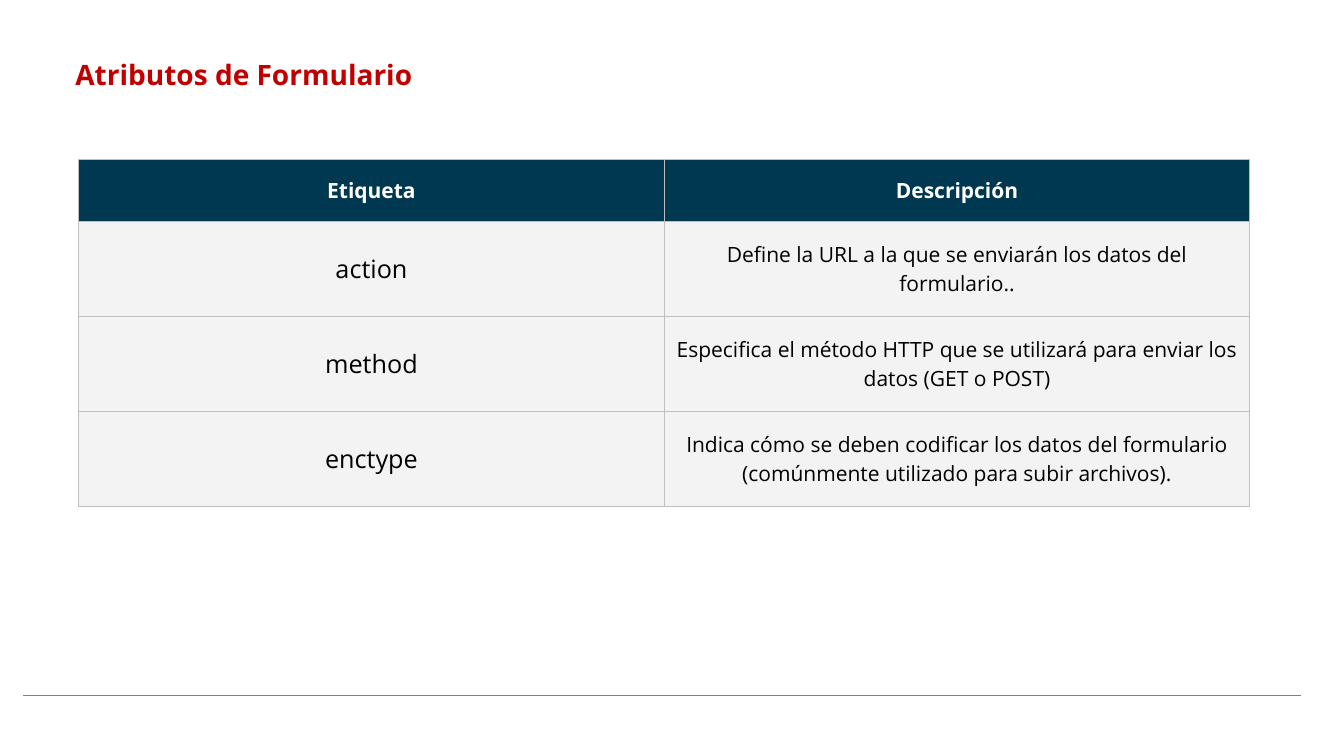
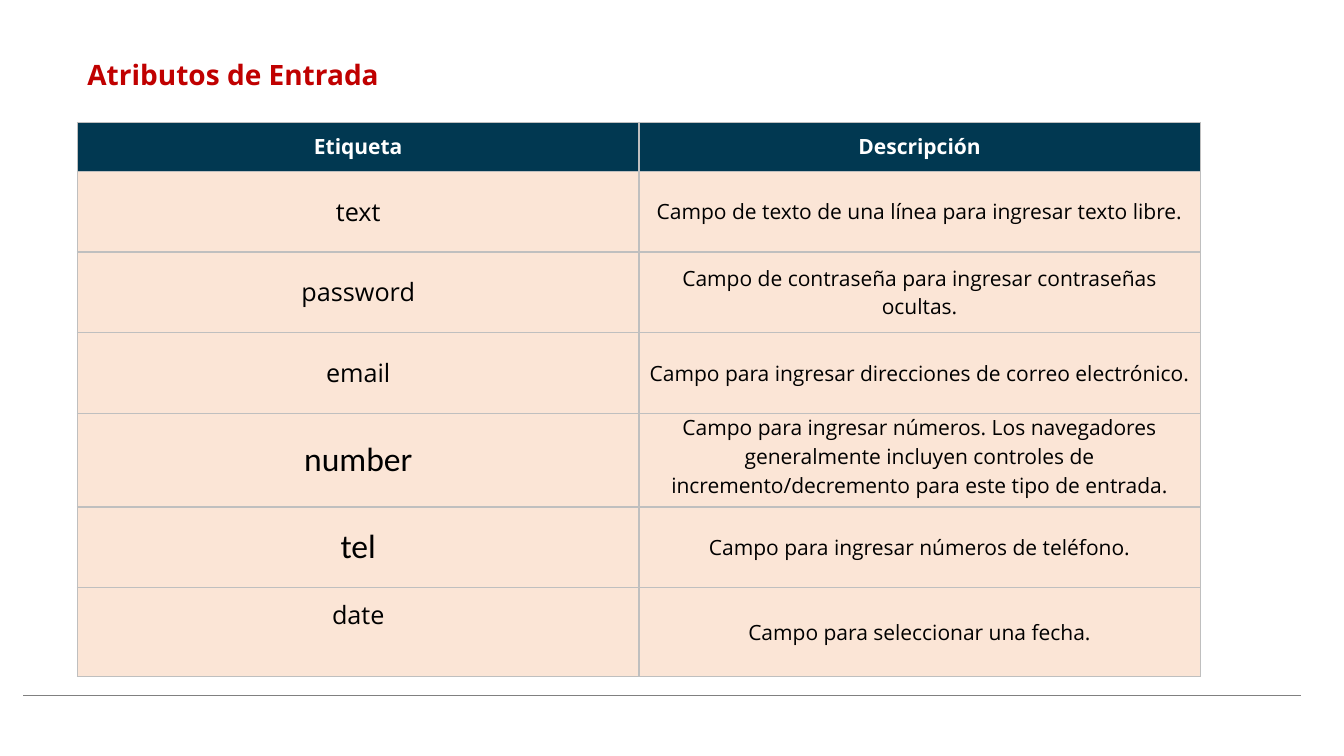
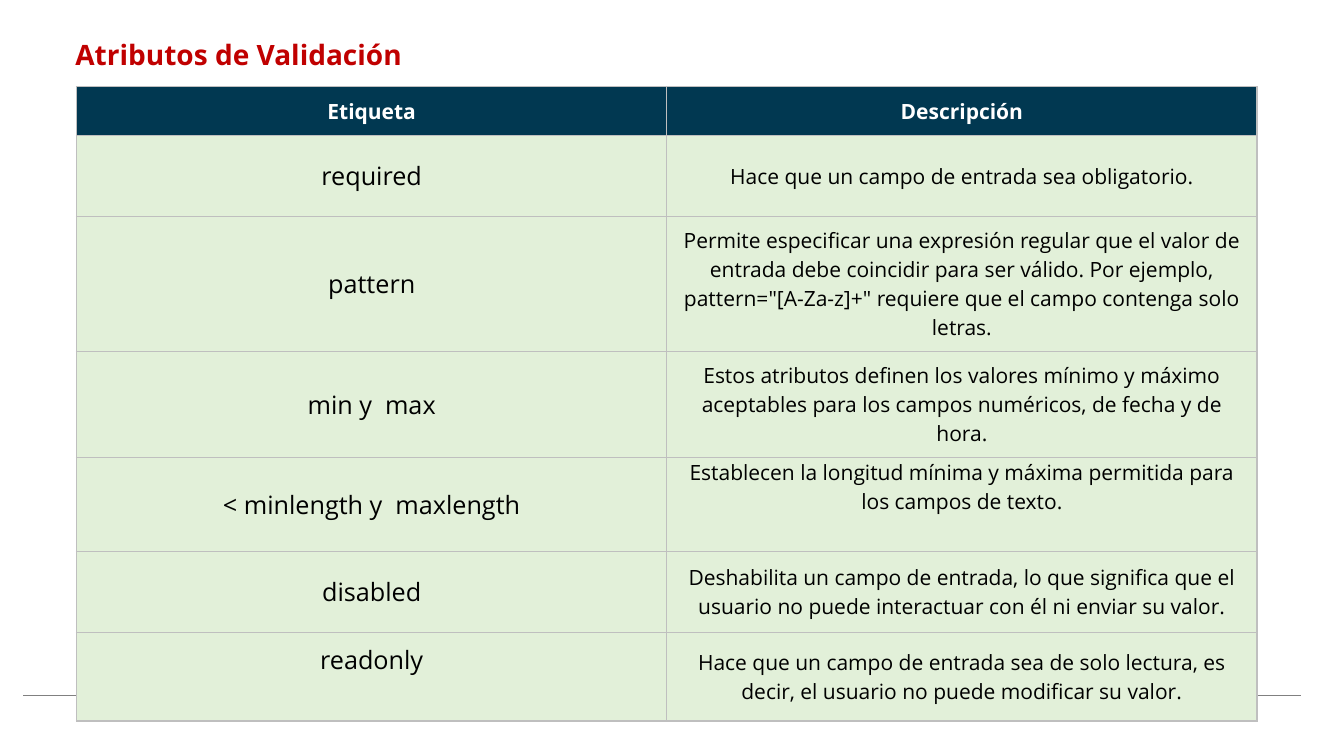
from dataclasses import dataclass

from lxml import etree
from pptx import Presentation
from pptx.dml.color import RGBColor
from pptx.enum import shapes, text
from pptx.oxml import ns
from pptx.util import Pt


@dataclass(frozen=True)
class Theme:
    title_color: str = "C00000"
    header_fill: str = "013851"
    header_text: str = "FFFFFF"
    body_text: str = "000000"
    border: str = "BFBFBF"
    footer_line: str = "808080"
    gray: str = "F3F3F3"
    peach: str = "FBE5D6"
    green: str = "E2F0D9"
    font: str = "Open Sans"
    alt_font: str = "Calibri"
    title_size: float = 20
    name_size: float = 18
    large_size: float = 24
    text_size: float = 15
    inset: float = 7.2


@dataclass(frozen=True)
class Attribute:
    name: str
    description: str
    height: float = 57.6
    large_name: bool = False
    name_on_top: bool = False
    description_on_top: bool = False


class Deck:
    def __init__(self, theme):
        self.theme = theme
        self.prs = Presentation()
        self.prs.slide_width, self.prs.slide_height = Pt(960), Pt(540)
        self.slide = None

    def new_slide(self):
        self.slide = self.prs.slides.add_slide(self.prs.slide_layouts[6])
        self.footer_line()

    def footer_line(self):
        line = self.slide.shapes.add_connector(
            shapes.MSO_CONNECTOR.STRAIGHT, Pt(16.6), Pt(496.8), Pt(929.5), Pt(496.8))
        line.line.color.rgb = RGBColor.from_string(self.theme.footer_line)
        line.line.width = Pt(0.5)
        etree.SubElement(line._element.spPr, ns.qn("a:effectLst"))

    def text_run(self, paragraph, words, size, color, bold=False, font=None):
        run = paragraph.add_run()
        run.text = words
        run.font.name = font or self.theme.font
        run.font.size = Pt(size)
        run.font.bold = bold
        run.font.color.rgb = RGBColor.from_string(color)

    def title(self, words, left, top):
        box = self.slide.shapes.add_textbox(Pt(left), Pt(top), Pt(511.2), Pt(31.7))
        frame = box.text_frame
        frame.word_wrap = True
        frame.margin_left = frame.margin_right = Pt(self.theme.inset)
        frame.margin_top = frame.margin_bottom = Pt(self.theme.inset)
        self.text_run(frame.paragraphs[0], words, self.theme.title_size,
                      self.theme.title_color, bold=True)

    def cell(self, cell, words, fill, size, color, bold=False, font=None,
             on_top=False, inset_x=None, inset_y=None):
        inset = self.theme.inset
        cell.margin_left = cell.margin_right = Pt(inset if inset_x is None else inset_x)
        cell.margin_top = cell.margin_bottom = Pt(inset if inset_y is None else inset_y)
        cell.vertical_anchor = text.MSO_ANCHOR.TOP if on_top else text.MSO_ANCHOR.MIDDLE
        cell.fill.solid()
        cell.fill.fore_color.rgb = RGBColor.from_string(fill)
        self.borders(cell)
        paragraph = cell.text_frame.paragraphs[0]
        paragraph.alignment = text.PP_ALIGN.CENTER
        self.text_run(paragraph, words, size, color, bold, font)

    def borders(self, cell):
        # Border lines have to stand before the fill
        properties = cell._tc.get_or_add_tcPr()
        for place, side in enumerate(("lnL", "lnR", "lnT", "lnB")):
            line = etree.Element(ns.qn(f"a:{side}"), w=str(Pt(1)))
            solid = etree.SubElement(line, ns.qn("a:solidFill"))
            etree.SubElement(solid, ns.qn("a:srgbClr"), val=self.theme.border)
            properties.insert(place, line)

    def attribute_table(self, left, top, column_width, header_height, fill, attributes):
        t = self.theme
        heights = [header_height] + [a.height for a in attributes]
        table = self.slide.shapes.add_table(
            len(heights), 2, Pt(left), Pt(top), Pt(2 * column_width), Pt(sum(heights))).table
        table.first_row = table.horz_banding = False
        for column in table.columns:
            column.width = Pt(column_width)
        for row, height in zip(table.rows, heights):
            row.height = Pt(height)

        # Header row
        for column, heading in enumerate(("Etiqueta", "Descripción")):
            self.cell(table.cell(0, column), heading, t.header_fill,
                      t.text_size, t.header_text, bold=True)

        # One row for each attribute
        for row, a in enumerate(attributes, 1):
            self.cell(table.cell(row, 0), a.name, fill,
                      t.large_size if a.large_name else t.name_size, t.body_text,
                      font=t.alt_font if a.large_name else t.font, on_top=a.name_on_top)
            tight = {"inset_x": 5, "inset_y": 0} if a.description_on_top else {}
            self.cell(table.cell(row, 1), a.description, fill, t.text_size, t.body_text,
                      on_top=a.description_on_top, **tight)


FORM = [
    Attribute("action", "Define la URL a la que se enviarán los datos del formulario..", 67.8),
    Attribute("method", "Especifica el método HTTP que se utilizará para enviar los datos "
              "(GET o POST)", 67.8),
    Attribute("enctype", "Indica cómo se deben codificar los datos del formulario "
              "(comúnmente utilizado para subir archivos).", 67.8),
]

INPUT = [
    Attribute("text", "Campo de texto de una línea para ingresar texto libre."),
    Attribute("password", "Campo de contraseña para ingresar contraseñas ocultas."),
    Attribute("email", "Campo para ingresar direcciones de correo electrónico."),
    Attribute("number", "Campo para ingresar números. Los navegadores generalmente incluyen "
              "controles de incremento/decremento para este tipo de entrada.", 67,
              large_name=True, description_on_top=True),
    Attribute("tel", "Campo para ingresar números de teléfono.", large_name=True),
    Attribute("date", "Campo para seleccionar una fecha.", 63.4, name_on_top=True),
]

VALIDATION = [
    Attribute("required", "Hace que un campo de entrada sea obligatorio."),
    Attribute("pattern", "Permite especificar una expresión regular que el valor de entrada "
              "debe coincidir para ser válido. Por ejemplo, pattern=\"[A-Za-z]+\" requiere "
              "que el campo contenga solo letras.", 96),
    Attribute("min y  max", "Estos atributos definen los valores mínimo y máximo aceptables "
              "para los campos numéricos, de fecha y de hora.", 76),
    Attribute("< minlength y  maxlength", "Establecen la longitud mínima y máxima permitida "
              "para los campos de texto.", 67, description_on_top=True),
    Attribute("disabled", "Deshabilita un campo de entrada, lo que significa que el usuario "
              "no puede interactuar con él ni enviar su valor."),
    Attribute("readonly", "Hace que un campo de entrada sea de solo lectura, es decir, el "
              "usuario no puede modificar su valor.", 63.4, name_on_top=True),
]


def main():
    theme = Theme()
    deck = Deck(theme)

    # Form attributes
    deck.new_slide()
    deck.attribute_table(56.2, 113.8, 418.3, 44.4, theme.gray, FORM)
    deck.title("Atributos de Formulario", 46.8, 33.8)

    # Input attributes
    deck.new_slide()
    deck.attribute_table(55.4, 87.4, 401, 34.8, theme.peach, INPUT)
    deck.title("Atributos de Entrada", 55.4, 33.8)

    # Validation attributes
    deck.new_slide()
    deck.attribute_table(54.7, 61.9, 421.6, 34.8, theme.green, VALIDATION)
    deck.title("Atributos de Validación", 46.8, 19.4)

    deck.prs.save("out.pptx")


if __name__ == "__main__":
    main()
